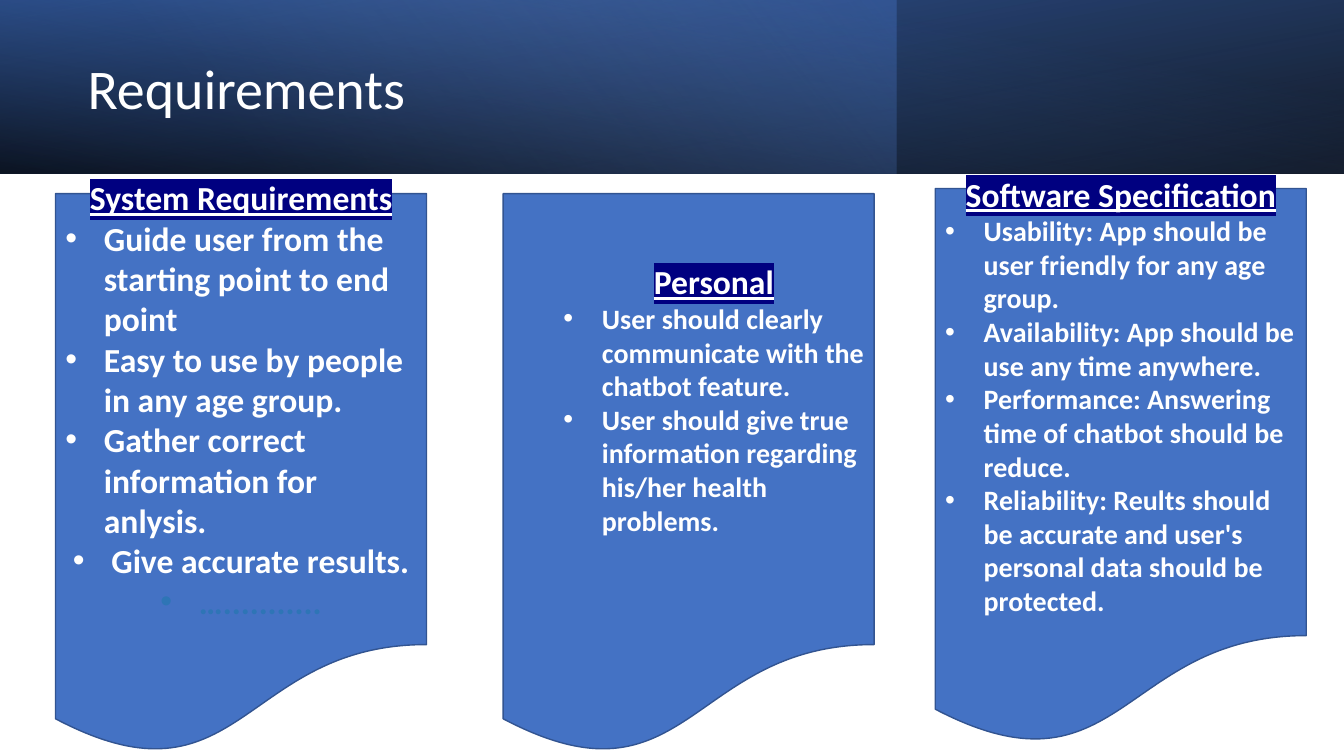
from pptx import Presentation
from pptx.dml.color import RGBColor
from pptx.enum.shapes import MSO_SHAPE
from pptx.enum.text import MSO_ANCHOR, PP_ALIGN
from pptx.oxml import parse_xml
from pptx.oxml.ns import nsdecls
from pptx.util import Cm, Pt

WIDE, HIGH, BAND = 33.87, 19.05, 4.37
FONT, WHITE, NAVY, TEAL = "Calibri", "FFFFFF", "000080", "2E75B6"
HANG = 0.97

# width, rotation, mirrored, angle, stops as (position, colour, opacity) in percent
LAYERS = [
    (WIDE, 180, True, 100, [(0, "000000", 96), (100, "2F5597", 100)]),
    (22.58, 0, False, 140, [(0, "4472C4", 41), (74, "8FAADC", 0)]),
    (WIDE, 0, True, 260, [(0, "000000", 63), (78, "4472C4", 15)]),
]

# items are (text, centred, colour); foot is the free space under the text
PANELS = [
    dict(head="System Requirements", box=(1.4, 4.88, 9.35, 14.17),
         size=24, inset=0, foot=1.14, items=[
             ("Guide user from the starting point to end point", False, WHITE),
             ("Easy to use by people in any age group.", False, WHITE),
             ("Gather correct information for anlysis.", False, WHITE),
             ("Give accurate results.", True, WHITE),
             ("…...........", True, TEAL)]),
    dict(head="Personal", box=(12.68, 4.88, 9.35, 14.17),
         size=20, inset=1.27, foot=1.14, items=[
             ("User should clearly communicate with the chatbot feature.", False, WHITE),
             ("User should give true information regarding his/her health problems.",
              False, WHITE)]),
    dict(head="Software Specification", box=(23.57, 4.75, 9.35, 14.05),
         size=20, inset=0, foot=0.97, items=[
             ("Usability: App should be user friendly for any age group.", False, WHITE),
             ("Availability: App should be use any time anywhere.", False, WHITE),
             ("Performance: Answering time of chatbot should be reduce.", False, WHITE),
             ("Reliability: Reults should be accurate and user's personal data "
              "should be protected.", False, WHITE)]),
]


def rgb(code):
    return RGBColor.from_string(code)


def add_run(para, text, size, color=WHITE, bold=False):
    run = para.add_run()
    run.text = text
    font = run.font
    font.size, font.bold = Pt(size), bold
    font.color.rgb = rgb(color)
    font.name = FONT
    return run


def mark(run, color):
    """Underline a run and give it a highlight."""
    run.font.underline = True
    tag = parse_xml(f'<a:highlight {nsdecls("a")}><a:srgbClr val="{color}"/></a:highlight>')
    run.font.fill._xPr.solidFill.addnext(tag)


def indent(para, left, hang=0):
    """Set the left margin; a hanging indent also brings a bullet."""
    props = para._p.get_or_add_pPr()
    props.set("marL", str(Cm(left + hang)))
    props.set("indent", str(-Cm(hang)))
    if hang:
        props.append(parse_xml(f'<a:buFont {nsdecls("a")} typeface="Arial"/>'))
        props.append(parse_xml(f'<a:buChar {nsdecls("a")} char="•"/>'))


def add_layer(slide, width, turn, mirror, angle, stops):
    rect = slide.shapes.add_shape(MSO_SHAPE.RECTANGLE, 0, 0, Cm(width), Cm(BAND))
    rect.shadow.inherit = False
    rect.line.fill.background()
    rect.rotation = turn
    props = rect._element.spPr
    if mirror:
        props.xfrm.set("flipH", "1")
    marks = "".join(
        f'<a:gs pos="{pos * 1000}"><a:srgbClr val="{color}">'
        f'<a:alpha val="{alpha * 1000}"/></a:srgbClr></a:gs>'
        for pos, color, alpha in stops)
    props.prstGeom.addnext(parse_xml(
        f'<a:gradFill {nsdecls("a")} rotWithShape="1"><a:gsLst>{marks}</a:gsLst>'
        f'<a:lin ang="{angle * 60000}" scaled="0"/></a:gradFill>'))


def add_title(slide, text):
    box = slide.shapes.add_textbox(Cm(1.96), Cm(0.69), Cm(19.61), Cm(3.23))
    frame = box.text_frame
    frame.word_wrap = True
    frame.vertical_anchor = MSO_ANCHOR.MIDDLE
    para = frame.paragraphs[0]
    para.line_spacing = 0.9
    add_run(para, text, 40)


def add_panel(slide, head, box, size, inset, foot, items):
    panel = slide.shapes.add_shape(MSO_SHAPE.FLOWCHART_DOCUMENT, *map(Cm, box))
    panel.shadow.inherit = False
    panel.fill.solid()
    panel.fill.fore_color.rgb = rgb("4472C4")
    panel.line.color.rgb = rgb("325491")
    panel.line.width = Pt(1)
    frame = panel.text_frame
    frame.word_wrap = True
    frame.vertical_anchor = MSO_ANCHOR.MIDDLE
    frame.margin_bottom = Cm(foot)
    para = frame.paragraphs[0]
    para.alignment = PP_ALIGN.CENTER
    indent(para, inset)
    mark(add_run(para, head, 24, bold=True), NAVY)
    for text, middle, color in items:
        para = frame.add_paragraph()
        para.alignment = PP_ALIGN.CENTER if middle else PP_ALIGN.LEFT
        indent(para, inset, HANG)
        add_run(para, text, size, color, bold=True)


def main():
    deck = Presentation()
    deck.slide_width, deck.slide_height = Cm(WIDE), Cm(HIGH)
    slide = deck.slides.add_slide(deck.slide_layouts[6])
    for layer in LAYERS:
        add_layer(slide, *layer)
    add_title(slide, "Requirements")
    for panel in PANELS:
        add_panel(slide, **panel)
    deck.save("out.pptx")


if __name__ == "__main__":
    main()
